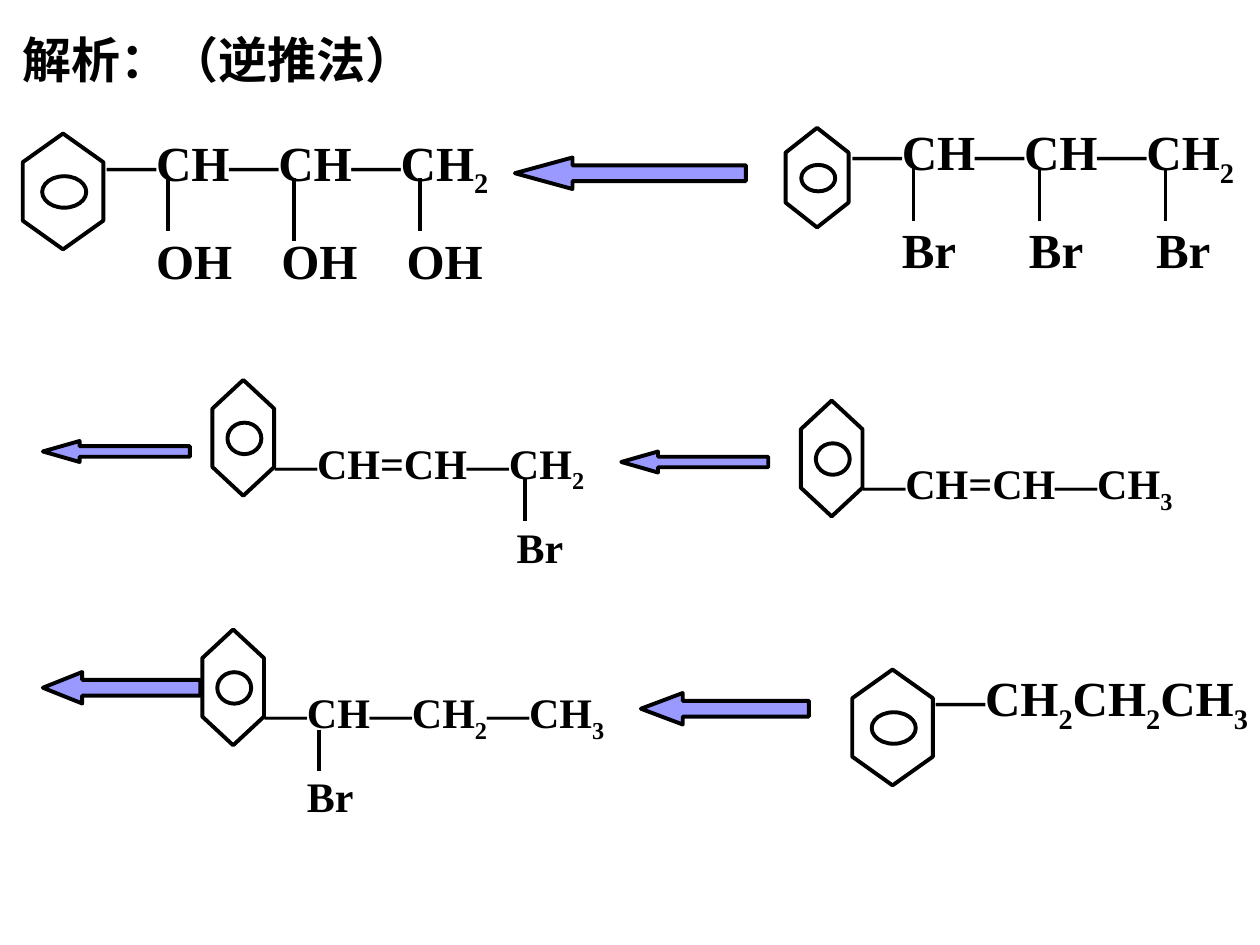
from itertools import groupby

from lxml import etree
from pptx import Presentation
from pptx.dml.color import RGBColor
from pptx.enum.shapes import MSO_CONNECTOR, MSO_SHAPE
from pptx.oxml.ns import qn
from pptx.util import Pt

HEXAGON = MSO_SHAPE.HEXAGON
ELLIPSE = MSO_SHAPE.OVAL
LEFT_ARROW = MSO_SHAPE.LEFT_ARROW
STRAIGHT = MSO_CONNECTOR.STRAIGHT
BLACK = RGBColor(0x00, 0x00, 0x00)
LILAC = RGBColor(0x99, 0x99, 0xFF)
FONT = "Times New Roman"
SLIDE_WIDTH, SLIDE_HEIGHT = 720, 540
LINE_WIDTH = 2.25

TITLE = "解析：（逆推法）"

# Ring kinds: (length, breadth, corner adjustment, inner width, inner height)
WIDE_RING = (66.2, 46.1, 0.356, 25.2, 18)
SMALL_RING = (56.9, 36, 0.393, 19.4, 15.1)
NARROW_RING = (66.2, 35.3, 0.465, 19.4, 18)

# Digits in a formula are subscripts.
# A branch is (label, label left, bond x, bond top, bond bottom).
MOLECULES = [
    dict(ring=WIDE_RING, center=(36, 109.4), formula="—CH—CH—CH2",
         start=(61.2, 75.6), size=28,
         branches=[("OH", 89.2, 96, 102, 132), ("OH", 160.8, 168, 102, 138),
                   ("OH", 232.4, 240, 102, 132)]),
    dict(ring=SMALL_RING, center=(466.9, 101.5), formula="—CH—CH—CH2",
         start=(487.4, 69.6), size=28,
         branches=[("Br", 515.4, 522, 96, 126), ("Br", 588, 594, 96, 126),
                   ("Br", 660.6, 666, 96, 126)]),
    dict(ring=NARROW_RING, center=(139, 250.2), formula="—CH=CH—CH2",
         start=(157.2, 249.8), size=24,
         branches=[("Br", 295.2, 300, 273.6, 298)]),
    dict(ring=NARROW_RING, center=(475.2, 262), formula="—CH=CH—CH3",
         start=(493.4, 261.6), size=24, branches=[]),
    dict(ring=NARROW_RING, center=(133.2, 392.8), formula="—CH—CH2—CH3",
         start=(151.4, 392.4), size=24,
         branches=[("Br", 175.4, 182.2, 416.9, 440.7)]),
    dict(ring=WIDE_RING, center=(510, 415.7), formula="—CH2CH2CH3",
         start=(535, 381.6), size=28, branches=[]),
]

# Reaction arrows: (left, top, width, height, head length / height)
ARROWS = [
    (294.2, 90, 132, 18, 1.83),
    (24.5, 252, 84, 12, 1.75),
    (355, 258, 84, 12, 1.75),
    (24.5, 384, 90, 18, 1.25),
    (366.2, 396, 96, 18, 1.33),
]


def add_outlined(shapes, kind, left, top, width, height, fill=None):
    shape = shapes.add_shape(kind, Pt(left), Pt(top), Pt(width), Pt(height))
    shape.shadow.inherit = False
    if fill is None:
        shape.fill.background()
    else:
        shape.fill.solid()
        shape.fill.fore_color.rgb = fill
    shape.line.color.rgb = BLACK
    shape.line.width = Pt(LINE_WIDTH)
    return shape


def add_text(shapes, text, left, top, width, size):
    """Add bold text, with every digit set as a subscript."""
    box = shapes.add_textbox(Pt(left), Pt(top), Pt(width), Pt(1.2 * size))
    frame = box.text_frame
    frame.word_wrap = True
    frame.margin_left = frame.margin_right = 0
    frame.margin_top = frame.margin_bottom = 0
    for is_digit, characters in groupby(text, str.isdigit):
        run = frame.paragraphs[0].add_run()
        run.text = "".join(characters)
        run.font.name = FONT
        run.font.size = Pt(size)
        run.font.bold = True
        run.font.color.rgb = BLACK
        if is_digit:
            run.font._element.set("baseline", "-25000")


def add_bond(shapes, x, top, bottom):
    bond = shapes.add_connector(STRAIGHT, Pt(x), Pt(top), Pt(x), Pt(bottom))
    bond.line.color.rgb = BLACK
    bond.line.width = Pt(LINE_WIDTH)
    etree.SubElement(bond._element.spPr, qn("a:effectLst"))


def add_ring(shapes, kind, center_x, center_y):
    length, breadth, corner, inner_width, inner_height = kind
    hexagon = add_outlined(shapes, HEXAGON, center_x - length / 2,
                           center_y - breadth / 2, length, breadth)
    hexagon.adjustments[0] = corner
    hexagon.rotation = 90
    add_outlined(shapes, ELLIPSE, center_x + 0.7 - inner_width / 2,
                 center_y + 0.3 - inner_height / 2, inner_width, inner_height)


def add_molecule(slide, ring, center, formula, start, size, branches):
    shapes = slide.shapes.add_group_shape().shapes
    add_ring(shapes, ring, *center)
    left, top = start
    add_text(shapes, formula, left, top, min(270, SLIDE_WIDTH - left), size)
    for label, label_left, bond_x, bond_top, bond_bottom in branches:
        add_text(shapes, label, label_left, top + 2 * size, 2 * size, size)
        add_bond(shapes, bond_x, bond_top, bond_bottom)


def main():
    presentation = Presentation()
    presentation.slide_width = Pt(SLIDE_WIDTH)
    presentation.slide_height = Pt(SLIDE_HEIGHT)
    slide = presentation.slides.add_slide(presentation.slide_layouts[6])

    add_text(slide.shapes, TITLE, 13, 16.6, 268, 28)
    for molecule in MOLECULES:
        add_molecule(slide, **molecule)
    for left, top, width, height, head in ARROWS:
        arrow = add_outlined(slide.shapes, LEFT_ARROW, left, top, width, height, LILAC)
        arrow.adjustments[1] = head

    presentation.save("out.pptx")


if __name__ == "__main__":
    main()
